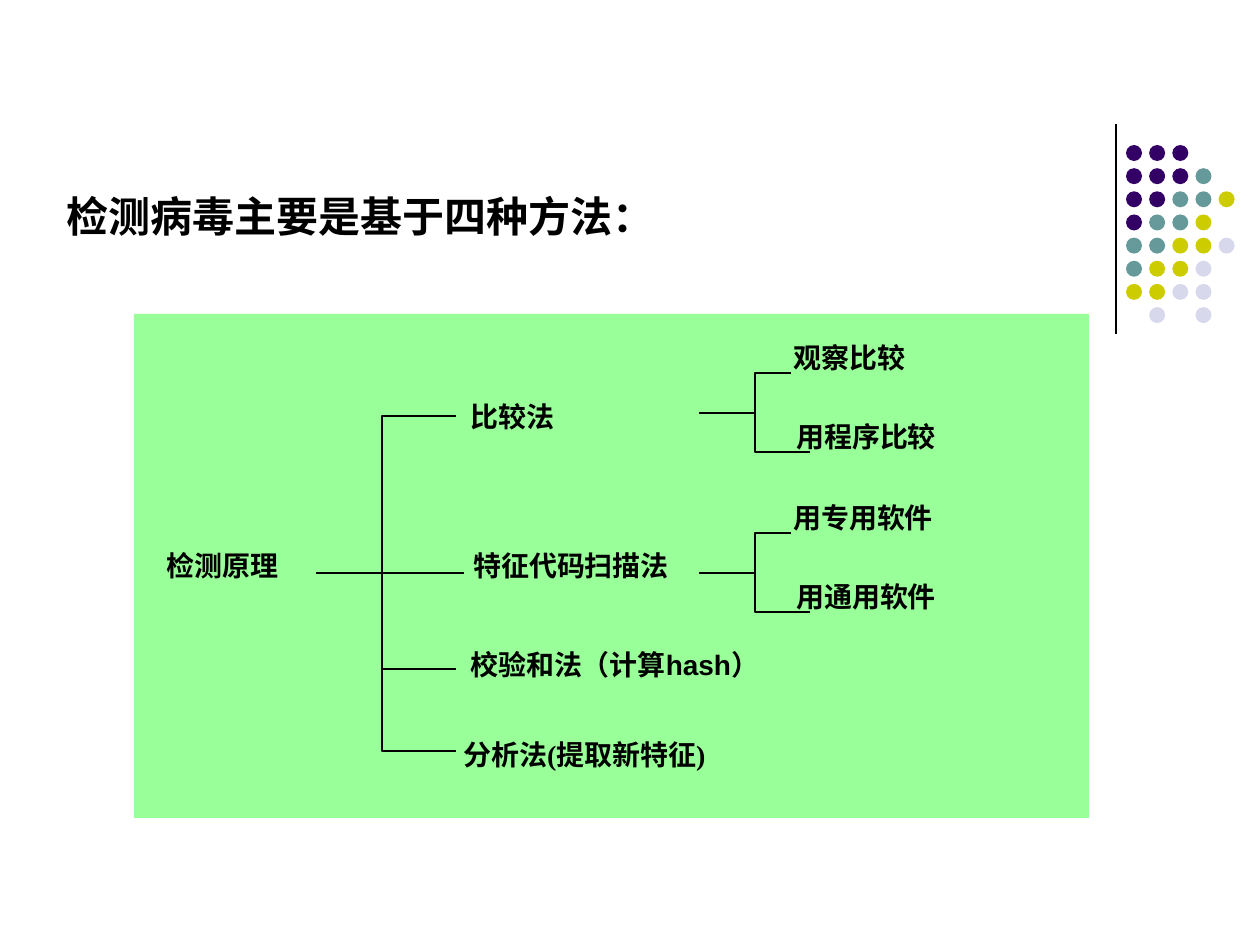
from lxml import etree
from pptx import Presentation
from pptx.dml.color import RGBColor
from pptx.enum import shapes, text
from pptx.oxml import ns
from pptx.util import Pt

SCALE = 914400 / 126
SERIF, SANS = "Times New Roman", "Arial"
BLACK, GREEN = "000000", "99FF99"
DOT_COLORS = {"P": "330066", "T": "669999", "Y": "CCCC00", "L": "D8D8EC"}
DOT_ROWS = ["PPP", "PPPT", "PPTTY", "PTTY", "TTYYL", "TYYL", "YYLL", " L L"]


def px(value):
    return round(value * SCALE)


def color(value):
    return RGBColor.from_string(value)


class Diagram:
    def __init__(self, slide, label_size=16, title_size=24, line_width=0.75):
        self.slide = slide
        self.label_size = label_size
        self.title_size = title_size
        self.line_width = line_width

    def box(self, *bounds):
        return [px(value) for value in bounds]

    def style_line(self, line):
        line.color.rgb = color(BLACK)
        line.width = Pt(self.line_width)

    def style_run(self, run, size, font_name):
        run.font.size = Pt(size)
        run.font.bold = True
        run.font.name = font_name
        run.font.color.rgb = color(BLACK)

    def title(self, words, *bounds):
        shape = self.slide.shapes.title
        shape.left, shape.top, shape.width, shape.height = self.box(*bounds)
        frame = shape.text_frame
        frame.text = words
        frame.word_wrap = True
        frame.auto_size = text.MSO_AUTO_SIZE.NONE
        frame.vertical_anchor = text.MSO_ANCHOR.TOP
        paragraph = frame.paragraphs[0]
        paragraph.alignment = text.PP_ALIGN.LEFT
        self.style_run(paragraph.runs[0], self.title_size, SANS)

    def filled(self, kind, fill, *bounds):
        shape = self.slide.shapes.add_shape(kind, *self.box(*bounds))
        shape.shadow.inherit = False
        shape.fill.solid()
        shape.fill.fore_color.rgb = color(fill)
        shape.line.fill.background()

    def label(self, pieces, *bounds):
        frame = self.slide.shapes.add_textbox(*self.box(*bounds)).text_frame
        frame.word_wrap = True
        paragraph = frame.paragraphs[0]
        paragraph.alignment = text.PP_ALIGN.JUSTIFY
        for words, font_name in pieces:
            run = paragraph.add_run()
            run.text = words
            self.style_run(run, self.label_size, font_name)

    def line(self, *ends):
        connector = self.slide.shapes.add_connector(
            shapes.MSO_CONNECTOR.STRAIGHT, *self.box(*ends))
        self.style_line(connector.line)
        properties = connector._element.spPr
        etree.SubElement(properties, ns.qn("a:effectLst"))

    def bracket(self, spine, top, bottom, top_end, bottom_end):
        builder = self.slide.shapes.build_freeform(px(top_end), px(top))
        corners = [(spine, top), (spine, bottom), (bottom_end, bottom)]
        builder.add_line_segments([(px(x), px(y)) for x, y in corners], close=False)
        shape = builder.convert_to_shape()
        shape.shadow.inherit = False
        shape.fill.background()
        self.style_line(shape.line)

    def branch(self, middle, upper, lower):
        self.label([(upper, SERIF)], 781, middle - 79, 239, 79)
        self.label([(lower, SERIF)], 784, middle, 247, 79)
        self.bracket(755, middle - 40, middle + 39, 791, 810)
        self.line(699, middle, 755, middle)

    def dots(self, left, top, size, pitch):
        for row, codes in enumerate(DOT_ROWS):
            for column, code in enumerate(codes):
                if code in DOT_COLORS:
                    self.filled(shapes.MSO_SHAPE.OVAL, DOT_COLORS[code],
                                left + column * pitch, top + row * pitch, size, size)


def main():
    presentation = Presentation()
    presentation.slide_width, presentation.slide_height = px(1260), px(945)
    slide = presentation.slides.add_slide(presentation.slide_layouts[5])
    diagram = Diagram(slide)

    diagram.line(1116, 124, 1116, 334)
    diagram.dots(1126, 145, 16, 23.15)
    diagram.title("检测病毒主要是基于四种方法：", 54, 184, 753, 63)
    diagram.filled(shapes.MSO_SHAPE.RECTANGLE, GREEN, 134, 314, 955, 504)

    diagram.label([("检测原理", SERIF)], 154, 542, 202, 79)
    diagram.label([("比较法", SERIF)], 458, 393, 222, 79)
    diagram.label([("特征代码扫描", SANS), ("法", SERIF)], 461, 542, 276, 79)
    diagram.label([("校验和法（计算hash）", SANS)], 458, 641, 340, 79)
    diagram.label([("分析法(提取新特征)", SERIF)], 451, 731, 277, 49)

    diagram.bracket(382, 416, 751, 456, 456)
    diagram.line(316, 573, 464, 573)
    diagram.line(382, 669, 456, 669)

    diagram.branch(413, "观察比较", "用程序比较")
    diagram.branch(573, "用专用软件", "用通用软件")
    presentation.save("out.pptx")


if __name__ == "__main__":
    main()
